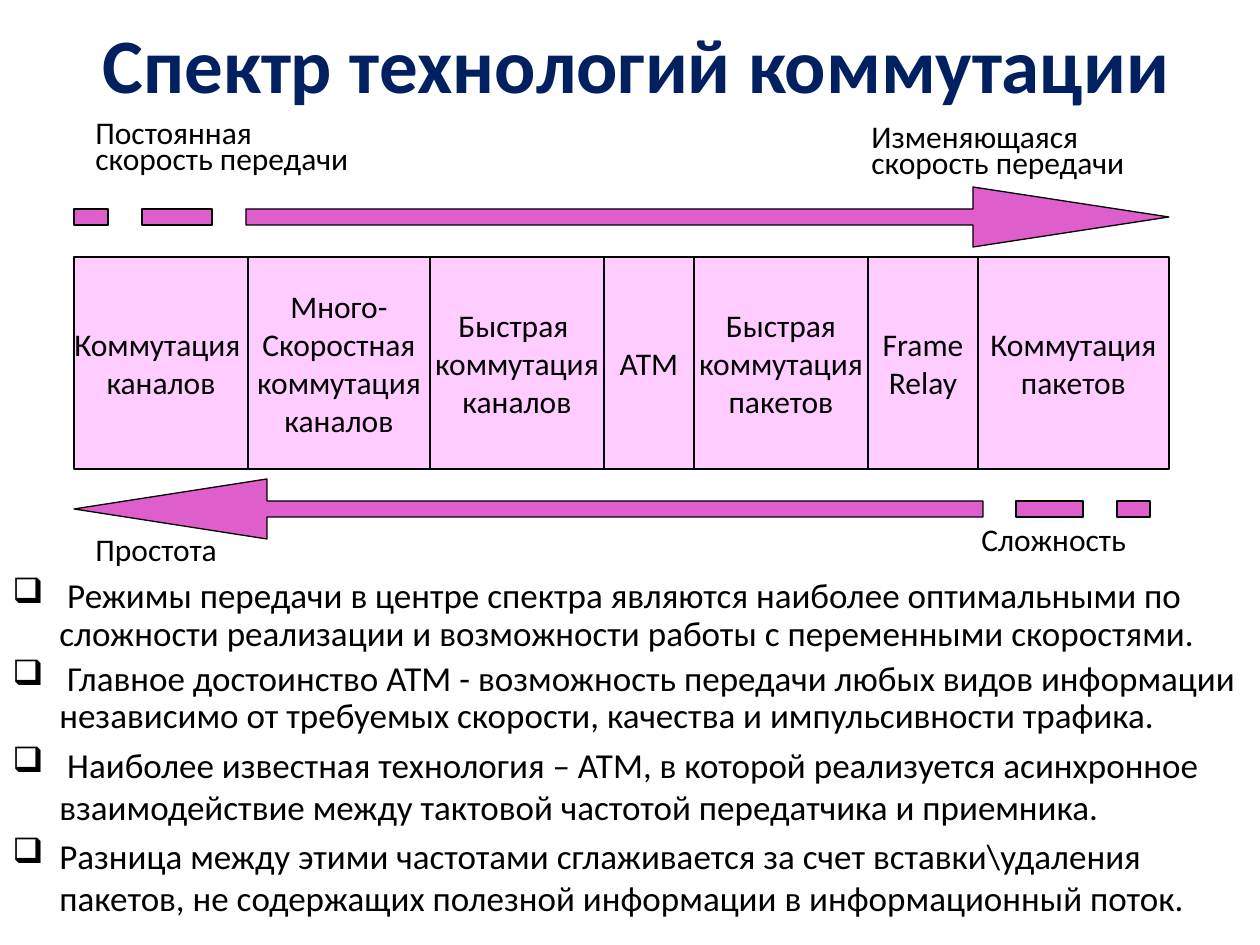
import dataclasses

import lxml.etree
import pptx
import pptx.dml.color
import pptx.enum.shapes
import pptx.enum.text
import pptx.oxml.ns
import pptx.util

EMU_PER_PX = 914400 / 126
CENTER = pptx.enum.text.PP_ALIGN.CENTER
LEFT = pptx.enum.text.PP_ALIGN.LEFT
MIDDLE = pptx.enum.text.MSO_ANCHOR.MIDDLE
TOP = pptx.enum.text.MSO_ANCHOR.TOP


def px(value):
    return pptx.util.Emu(round(value * EMU_PER_PX))


@dataclasses.dataclass(frozen=True)
class Theme:
    font: str = "Calibri"
    title_color: str = "002060"
    ink: str = "000000"
    arrow_fill: str = "DE5ECC"
    cell_fill: str = "FFCCFF"
    title_size: int = 44
    body_size: int = 20
    label_size: int = 18
    line_width: float = 0.75


class SpectrumSlide:
    def __init__(self, page, theme):
        self.page = page
        self.theme = theme

    def color(self, name):
        return pptx.dml.color.RGBColor.from_string(name)

    def style_paragraph(self, para, size, color=None, bold=False,
                        align=LEFT, spacing=1.0):
        para.alignment = align
        para.line_spacing = spacing
        para.font.name = self.theme.font
        para.font.size = pptx.util.Pt(size)
        para.font.bold = bold
        para.font.color.rgb = self.color(color or self.theme.ink)

    def paint(self, shape, fill):
        shape.shadow.inherit = False
        shape.fill.solid()
        shape.fill.fore_color.rgb = self.color(fill)
        shape.line.color.rgb = self.color(self.theme.ink)
        shape.line.width = pptx.util.Pt(self.theme.line_width)

    def text_frame(self, left, top, width, height, anchor=TOP):
        box = self.page.shapes.add_textbox(px(left), px(top), px(width), px(height))
        frame = box.text_frame
        frame.word_wrap = True
        frame.vertical_anchor = anchor
        return frame

    def title(self, text, left, top, width, height):
        para = self.text_frame(left, top, width, height, MIDDLE).paragraphs[0]
        para.text = text
        self.style_paragraph(para, self.theme.title_size, self.theme.title_color,
                             bold=True, align=CENTER, spacing=0.8)

    def label(self, text, left, top, width, height):
        para = self.text_frame(left, top, width, height).paragraphs[0]
        para.text = text
        self.style_paragraph(para, self.theme.label_size, spacing=0.7)

    def bullets(self, items, left, top, width, height, indent):
        frame = self.text_frame(left, top, width, height)
        for index, (text, spacing) in enumerate(items):
            para = frame.add_paragraph() if index else frame.paragraphs[0]
            para.text = text
            if index:
                para.space_before = pptx.util.Pt(4)
            para.line_spacing = spacing
            properties = para._p.get_or_add_pPr()
            properties.set("marL", str(px(indent)))
            properties.set("indent", str(-px(indent)))
            mark = lxml.etree.SubElement(properties, pptx.oxml.ns.qn("a:buChar"))
            mark.set("char", "❑")
            self.style_paragraph(para, self.theme.body_size, spacing=spacing)

    def cell(self, lines, left, top, width, height):
        box = self.page.shapes.add_shape(
            pptx.enum.shapes.MSO_SHAPE.RECTANGLE,
            px(left), px(top), px(width), px(height))
        self.paint(box, self.theme.cell_fill)
        frame = box.text_frame
        frame.word_wrap = False
        frame.vertical_anchor = MIDDLE
        frame.text = "\n".join(lines)
        for para in frame.paragraphs:
            self.style_paragraph(para, self.theme.label_size, align=CENTER)

    def dashed_arrow(self, tip, neck, tail, dashes, middle):
        """One outline: an arrow followed by detached dashes behind its tail."""
        head, shaft = 30, 8
        upper, lower = middle - shaft, middle + shaft
        builder = self.page.shapes.build_freeform(neck, middle - head, scale=EMU_PER_PX)
        builder.add_line_segments([
            (neck, upper), (tail, upper), (tail, lower),
            (neck, lower), (neck, middle + head), (tip, middle)])
        for near, far in dashes:
            builder.move_to(near, upper)
            builder.add_line_segments([(near, lower), (far, lower), (far, upper)])
        self.paint(builder.convert_to_shape(), self.theme.arrow_fill)


TECHNOLOGIES = [
    (174, ["Коммутация ", "каналов"]),
    (182, ["Много-", "Скоростная", " коммутация ", "каналов"]),
    (174, ["Быстрая ", "коммутация", "каналов"]),
    (90, ["АТМ"]),
    (174, ["Быстрая", " коммутация ", "пакетов"]),
    (110, ["Frame", "Relay"]),
    (191, ["Коммутация", "пакетов"]),
]

# Text and line spacing of each conclusion
CONCLUSIONS = [
    (" Режимы передачи в центре спектра являются наиболее оптимальными по "
     "сложности реализации и возможности работы с переменными скоростями.", 0.9),
    (" Главное достоинство АТМ - возможность передачи любых видов информации "
     "независимо от требуемых скорости, качества и импульсивности трафика.", 0.9),
    (" Наиболее известная технология – АТМ, в которой реализуется асинхронное "
     "взаимодействие между тактовой частотой передатчика и приемника.", 1.0),
    ("Разница между этими частотами сглаживается за счет вставки\\удаления "
     "пакетов, не содержащих полезной информации в информационный поток.", 1.0),
]


def main():
    deck = pptx.Presentation()
    deck.slide_width, deck.slide_height = px(1260), px(945)
    page = deck.slides.add_slide(deck.slide_layouts[6])
    slide = SpectrumSlide(page, Theme())

    # Title and conclusions
    slide.title("Спектр технологий коммутации ", 84, 26, 1105, 91)
    slide.bullets(CONCLUSIONS, 0, 572, 1260, 373, indent=47)

    # Transmission rate: constant to variable
    slide.dashed_arrow(1169, 973, 246, [(212, 142), (108, 74)], middle=217)
    slide.label("Постоянная скорость передачи", 83, 117, 292, 89)
    slide.label("Изменяющаяся скорость передачи", 859, 121, 292, 89)

    # Complexity: complex to simple
    slide.dashed_arrow(74, 267, 983, [(1016, 1083), (1117, 1150)], middle=509)
    slide.label("Простота", 83, 534, 237, 38)
    slide.label("Сложность", 969, 524, 237, 38)

    # Row of technologies
    left = 74
    for width, lines in TECHNOLOGIES:
        slide.cell(lines, left, 257, width, 212)
        left += width

    deck.save("out.pptx")


if __name__ == "__main__":
    main()
